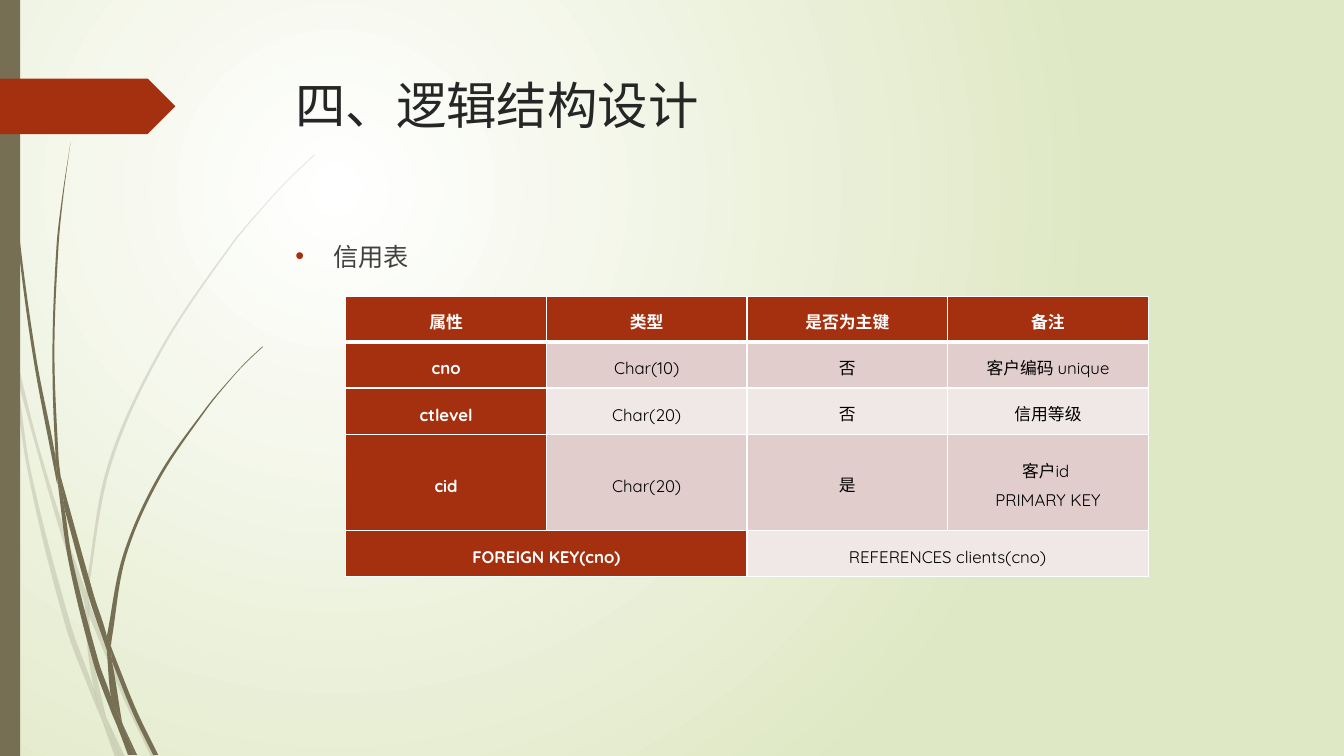
"""Build the credit table slide of a logical structure design deck."""
import math
from dataclasses import dataclass

import lxml.etree
import pptx
import pptx.dml.color
import pptx.enum.shapes
import pptx.enum.text
import pptx.oxml.ns
import pptx.util

RGBColor = pptx.dml.color.RGBColor
WHITE = RGBColor(0xFF, 0xFF, 0xFF)
BLACK = RGBColor(0x00, 0x00, 0x00)
TITLE_GREY = RGBColor(0x26, 0x26, 0x26)
BODY_GREY = RGBColor(0x40, 0x40, 0x40)
RUST = RGBColor(0xA5, 0x30, 0x10)
OLIVE = RGBColor(0x76, 0x6F, 0x54)
PALE_GREEN = RGBColor(0xDF, 0xE8, 0xC4)
BAND_COLORS = (RGBColor(0xE1, 0xCD, 0xCC), RGBColor(0xF0, 0xE8, 0xE7))
FONT = "Quicksand"
CM_PER_INCH = 2.54

Point = tuple[float, float]


@dataclass(frozen=True)
class Blade:
    """A piece of grass bounded by two smooth edges."""
    down: list[Point]
    up: list[Point]


@dataclass(frozen=True)
class Label:
    """A text box in a single style."""
    text: str
    top: float
    height: float
    size: int
    color: RGBColor
    bulleted: bool = False


PALE_BLADES = [
    Blade([(0, 2.82), (0.09, 3.22), (0.11, 3.5)], [(0.1, 3.44), (0, 2.99)]),
    Blade([(0.14, 3.45), (0.36, 4.34), (0.62, 5.2), (0.85, 5.86)],
          [(0.84, 5.99), (0.58, 5.22), (0.17, 3.76)]),
    Blade([(0.88, 5.96), (0.92, 6.07), (1.27, 6.92), (1.55, 7.51)],
          [(1.5, 7.51), (1.23, 6.94), (0.88, 6.1)]),
    Blade([(1.05, 7.11), (1.24, 7.51)], [(1.19, 7.51), (1.05, 7.11)]),
    Blade([(0.11, 3.5), (0.17, 3.76), (0.31, 4.69), (0.7, 6.19), (0.93, 6.83),
           (0.99, 7.07), (1.01, 7.14)],
          [(0.92, 6.93), (0.65, 6.21), (0.28, 4.7), (0.11, 3.5)]),
    Blade([(0.84, 5.99), (0.88, 6.08), (0.91, 6.46), (1.05, 7.11)],
          [(0.96, 6.92), (0.93, 6.83), (0.87, 6.46), (0.84, 5.99)]),
    Blade([(3.12, 1.53), (2.89, 1.75), (2.68, 1.97), (2.28, 2.44), (1.58, 3.48),
           (1.07, 4.61), (0.85, 5.84), (0.85, 5.86)],
          [(0.88, 5.96), (0.88, 5.84), (1.1, 4.62), (1.6, 3.49), (2.29, 2.45),
           (2.68, 1.98), (2.9, 1.75), (3.12, 1.54)]),
    Blade([(1.01, 7.14), (1.19, 7.51)], [(1.14, 7.51), (1.01, 7.14)]),
    Blade([(0.85, 5.86), (0.88, 5.96), (0.88, 6.1)], [(0.88, 6.08), (0.84, 5.99)]),
    Blade([(0.93, 6.83), (0.96, 6.92), (1.05, 7.11), (1.19, 7.51)],
          [(1.01, 7.14), (0.99, 7.07), (0.93, 6.83)]),
]
DARK_BLADES = [
    Blade([(0.04, 0), (0.05, 0.48), (0.08, 1.09), (0.19, 2.32), (0.36, 3.55),
           (0.55, 4.53), (0.57, 4.81)],
          [(0.56, 4.77), (0.33, 3.55), (0.17, 2.33), (0.07, 1.1), (0.04, 0.48),
           (0.03, 0)]),
    Blade([(0.6, 4.72), (0.93, 5.9), (1.06, 6.31), (1.06, 6.45)],
          [(1.06, 6.45), (0.88, 5.92), (0.64, 5.05)]),
    Blade([(1.1, 6.41), (1.13, 6.49), (1.36, 7.06), (1.57, 7.49)],
          [(1.52, 7.49), (1.32, 7.08), (1.11, 6.56)]),
    Blade([(0.57, 4.77), (0.64, 5.05), (0.72, 5.56), (0.98, 6.57), (1.1, 6.91),
           (1.17, 7.22)],
          [(1.11, 7.08), (0.93, 6.59), (0.68, 5.57), (0.57, 4.77)]),
    Blade([(0.7, 1.41), (0.62, 1.93), (0.56, 2.45), (0.52, 3.49), (0.55, 4.49),
           (0.6, 4.72)],
          [(0.6, 4.72), (0.58, 4.53), (0.54, 3.49), (0.58, 2.45), (0.63, 1.93),
           (0.7, 1.41)]),
    Blade([(1.22, 7.19), (1.36, 7.49)], [(1.33, 7.49), (1.22, 7.19)]),
    Blade([(0.55, 4.49), (0.6, 4.72), (0.64, 5.05)],
          [(0.57, 4.77), (0.55, 4.53)]),
    Blade([(2.6, 3.44), (2.45, 3.58), (2.31, 3.73), (2.04, 4.05), (1.56, 4.74),
           (1.22, 5.51), (1.06, 6.31)],
          [(1.1, 6.41), (1.11, 6.33), (1.25, 5.52), (1.58, 4.76), (2.05, 4.06),
           (2.31, 3.74), (2.45, 3.59), (2.61, 3.44)]),
    Blade([(1.17, 7.22), (1.31, 7.49)], [(1.27, 7.49), (1.17, 7.22)]),
    Blade([(1.06, 6.45), (1.11, 6.56), (1.21, 7.16), (1.22, 7.19)],
          [(1.16, 7.06), (1.1, 6.91), (1.06, 6.45)]),
    Blade([(1.06, 6.31), (1.1, 6.41), (1.11, 6.56)], [(1.06, 6.45), (1.06, 6.33)]),
    Blade([(1.1, 6.91), (1.16, 7.06), (1.22, 7.19), (1.33, 7.49)],
          [(1.3, 7.49), (1.17, 7.22), (1.1, 6.91)]),
]
LABELS = [
    Label("四、逻辑结构设计", 0.69, 1.4, 36, TITLE_GREY),
    Label("信用表", 2.34, 4.13, 18, BODY_GREY, bulleted=True),
]
ROW_HEIGHTS = [0.45, 0.46, 0.46, 0.95, 0.46]
COLUMN_WIDTH = 1.99
CREDIT_ROWS = [
    ["属性", "类型", "是否为主键", "备注"],
    ["cno", "Char(10)", "否", "客户编码 unique"],
    ["ctlevel", "Char(20)", "否", "信用等级"],
    ["cid", "Char(20)", "是", "客户id \nPRIMARY KEY"],
    ["FOREIGN KEY(cno)", "", "REFERENCES clients(cno)", ""],
]


def length(inches: float) -> pptx.util.Length:
    """Convert a layout measure to a length."""
    return pptx.util.Cm(inches * CM_PER_INCH)


def add_element(parent, tag: str, **attributes: str):
    """Append a drawing element and return it."""
    element = lxml.etree.SubElement(parent, pptx.oxml.ns.qn(tag))
    for name, value in attributes.items():
        element.set(name, value)
    return element


def handle(knot: Point, before: Point, after: Point, chord: float) -> Point:
    """Place a curve handle along the tangent at a knot."""
    reach = chord / 3 / (math.dist(before, after) or 1)
    return tuple(k + (a - b) * reach for k, b, a in zip(knot, before, after))


def bend_edge(lines: list, knots: list[Point]) -> None:
    """Turn the line segments between the knots into smooth curves."""
    padded = [knots[0], *knots, knots[-1]]
    for line, a, b, c, d in zip(lines, padded, padded[1:], padded[2:], padded[3:]):
        chord = math.dist(b, c)
        line.tag = pptx.oxml.ns.qn("a:cubicBezTo")
        handles = (handle(b, a, c, chord), handle(c, d, b, chord))
        for position, (x, y) in enumerate(handles):
            point = add_element(line, "a:pt", x=str(round(x)), y=str(round(y)))
            line.insert(position, point)


def paint(shape, color: RGBColor) -> None:
    """Give a shape a flat fill without outline or shadow."""
    shape.shadow.inherit = False
    shape.fill.solid()
    shape.fill.fore_color.rgb = color
    shape.line.fill.background()


def draw_background(slide) -> None:
    """Spread a round glow from the upper left."""
    fill = slide.background.fill
    fill.gradient()
    for position, color in enumerate((WHITE, PALE_GREEN)):
        fill.gradient_stops[position].color.rgb = color
        fill.gradient_stops[position].position = position
    linear = slide.element.xpath(".//p:bgPr/a:gradFill/a:lin")[0]
    gradient = linear.getparent()
    gradient.remove(linear)
    glow = add_element(gradient, "a:path", path="circle")
    add_element(glow, "a:fillToRect", l="50000", t="50000", r="100000", b="100000")


def draw_blade(slide, blade: Blade, opacity: int) -> None:
    """Draw one piece of grass."""
    outline = [(length(x), length(y)) for x, y in blade.down + blade.up]
    builder = slide.shapes.build_freeform(*outline[0])
    builder.add_line_segments(outline[1:], close=True)
    shape = builder.convert_to_shape()
    paint(shape, OLIVE)
    knots = [(int(point.get("x")), int(point.get("y")))
             for point in shape.element.xpath(".//a:pathLst//a:pt")]
    lines = shape.element.xpath(".//a:lnTo")
    turn = len(blade.down)
    bend_edge(lines[:turn - 1], knots[:turn])
    bend_edge(lines[turn:], knots[turn:len(outline)])
    if opacity < 100:
        color = shape.element.spPr.xpath("./a:solidFill/a:srgbClr")[0]
        add_element(color, "a:alpha", val=str(opacity * 1000))


def draw_label(slide, label: Label) -> None:
    """Draw the title or the bulleted line."""
    box = slide.shapes.add_textbox(
        length(2.83), length(label.top), length(9.75), length(label.height))
    box.text_frame.word_wrap = True
    box.text_frame.text = label.text
    paragraph = box.text_frame.paragraphs[0]
    font = paragraph.runs[0].font
    font.name, font.size, font.color.rgb = FONT, pptx.util.Pt(label.size), label.color
    if label.bulleted:
        paragraph.space_before = pptx.util.Pt(10)
        properties = paragraph._p.get_or_add_pPr()
        properties.set("marL", str(length(0.38)))
        properties.set("indent", str(-length(0.38)))
        add_element(add_element(properties, "a:buClr"), "a:srgbClr", val=str(RUST))
        add_element(properties, "a:buFont", typeface="Arial")
        add_element(properties, "a:buChar", char="•")


def style_cell(cell, row: int, column: int) -> None:
    """Format the text, fill and borders of a table cell."""
    heading = row == 0 or column == 0
    cell.vertical_anchor = pptx.enum.text.MSO_ANCHOR.MIDDLE
    cell.margin_left = cell.margin_right = length(0.07)
    cell.margin_top = cell.margin_bottom = 0
    for paragraph in cell.text_frame.paragraphs:
        paragraph.alignment = pptx.enum.text.PP_ALIGN.CENTER
        paragraph.line_spacing = pptx.util.Pt(20)
        for run in paragraph.runs:
            run.font.name, run.font.size = FONT, pptx.util.Pt(12)
            run.font.bold = heading
            run.font.color.rgb = WHITE if heading else BLACK
    properties = cell._tc.get_or_add_tcPr()
    widths = {"L": 1, "R": 1, "T": 3 if row == 1 else 1, "B": 3 if row == 0 else 1}
    for side, width in widths.items():
        border = add_element(properties, f"a:ln{side}", w=str(pptx.util.Pt(width)))
        add_element(add_element(border, "a:solidFill"), "a:srgbClr", val=str(WHITE))
    cell.fill.solid()
    cell.fill.fore_color.rgb = RUST if heading else BAND_COLORS[(row - 1) % 2]


def draw_credit_table(slide) -> None:
    """Draw the attribute table with its merged foreign key row."""
    columns, last = len(CREDIT_ROWS[0]), len(CREDIT_ROWS) - 1
    table = slide.shapes.add_table(
        len(CREDIT_ROWS), columns, length(3.43), length(2.94),
        length(COLUMN_WIDTH * columns), length(sum(ROW_HEIGHTS))).table
    for column in table.columns:
        column.width = length(COLUMN_WIDTH)
    for row, (texts, height) in enumerate(zip(CREDIT_ROWS, ROW_HEIGHTS)):
        table.rows[row].height = length(height)
        for column, text in enumerate(texts):
            table.cell(row, column).text_frame.text = text
            style_cell(table.cell(row, column), row, column)
    for column in (0, 2):
        table.cell(last, column).merge(table.cell(last, column + 1))


def main() -> None:
    """Assemble and save the slide."""
    presentation = pptx.Presentation()
    presentation.slide_width, presentation.slide_height = length(13.33), length(7.5)
    slide = presentation.slides.add_slide(presentation.slide_layouts[6])
    draw_background(slide)
    for blades, opacity in ((PALE_BLADES, 20), (DARK_BLADES, 100)):
        for blade in blades:
            draw_blade(slide, blade, opacity)
    shapes = pptx.enum.shapes.MSO_SHAPE
    paint(slide.shapes.add_shape(shapes.RECTANGLE, 0, 0, length(0.2), length(7.5)), OLIVE)
    paint(slide.shapes.add_shape(
        shapes.PENTAGON, 0, length(0.78), length(1.74), length(0.55)), RUST)
    for label in LABELS:
        draw_label(slide, label)
    draw_credit_table(slide)
    presentation.save("out.pptx")


if __name__ == "__main__":
    main()
